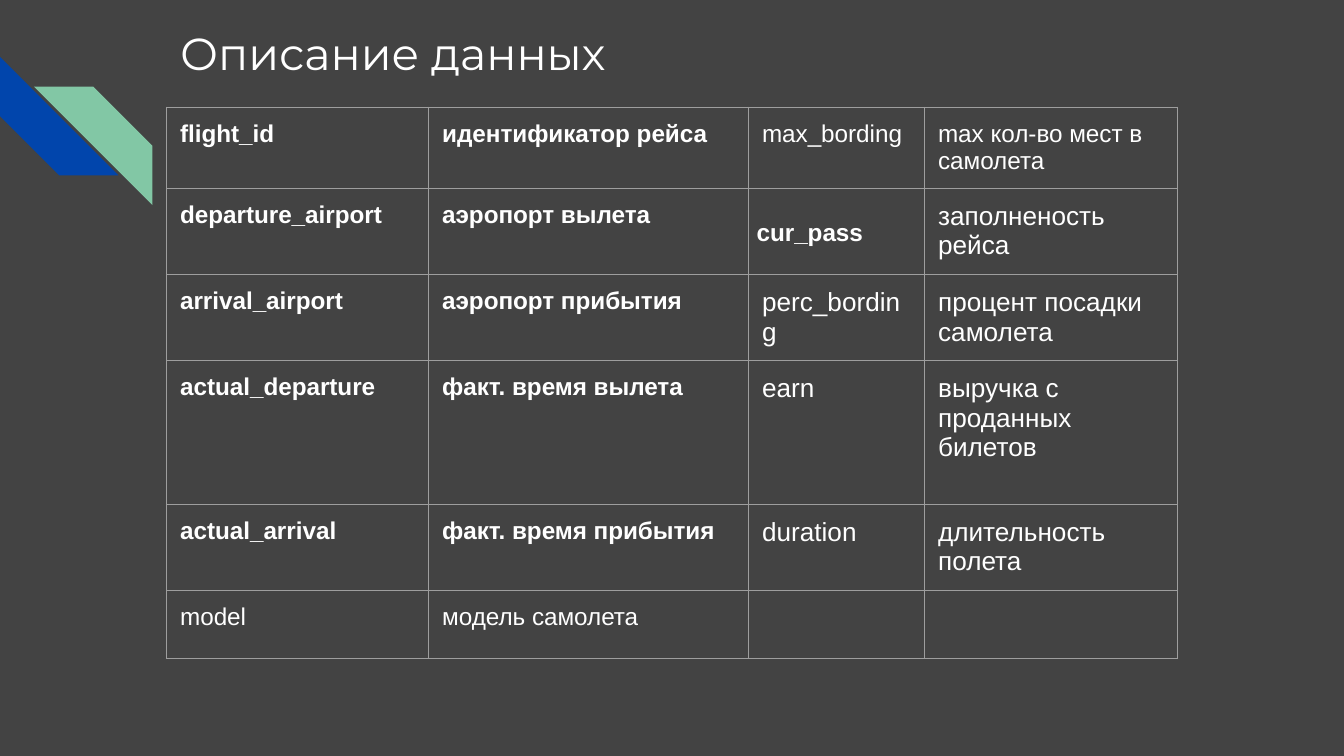
from lxml import etree
from pptx import Presentation
from pptx.dml.color import RGBColor
from pptx.enum.shapes import MSO_SHAPE
from pptx.enum.text import MSO_ANCHOR, PP_ALIGN
from pptx.oxml.ns import qn
from pptx.util import Pt

STRIPE = MSO_SHAPE.DIAGONAL_STRIPE
TOP, MIDDLE = MSO_ANCHOR.TOP, MSO_ANCHOR.MIDDLE
LEFT = PP_ALIGN.LEFT
TITLE_ONLY = 5

COLORS = {
    "background": "434343",
    "text": "FFFFFF",
    "border": "9E9E9E",
    "blue": "0145AC",
    "green": "82C7A5",
}
COLUMN_WIDTHS = [140.4, 171.36, 94.32, 135.36]
ROW_HEIGHTS = [43.4, 46.1, 46.1, 77.1, 46.1, 34.3]
FIELDS = [
    ["flight_id", "идентификатор рейса", "max_bording", "max кол-во мест в самолета"],
    ["departure_airport", "аэропорт вылета", "cur_pass", "заполненость рейса"],
    ["arrival_airport", "аэропорт прибытия", "perc_bording", "процент посадки самолета"],
    ["actual_departure", "факт. время вылета", "earn", "выручка с проданных билетов"],
    ["actual_arrival", "факт. время прибытия", "duration", "длительность полета"],
    ["model", "модель самолета", "", ""],
]


def color(name):
    return RGBColor.from_string(COLORS[name])


def set_margins(holder, inset):
    holder.margin_left = holder.margin_right = Pt(inset)
    holder.margin_top = holder.margin_bottom = Pt(inset)


def write_text(frame, text, size=13, font="Arial", bold=False, line_spacing=1.0, before=0):
    frame.word_wrap = True
    paragraph = frame.paragraphs[0]
    paragraph.alignment = LEFT
    paragraph.line_spacing = line_spacing
    paragraph.space_before = Pt(before)
    run = paragraph.add_run()
    run.text = text
    run.font.size = Pt(size)
    run.font.name = font
    run.font.bold = bold
    run.font.color.rgb = color("text")


def add_stripe(slide, left, top, rotation, fill):
    stripe = slide.shapes.add_shape(STRIPE, Pt(left), Pt(top), Pt(63.5), Pt(63.5))
    stripe.adjustments[0] = 0.5
    stripe.rotation = rotation
    stripe.fill.solid()
    stripe.fill.fore_color.rgb = color(fill)
    stripe.line.fill.background()
    stripe.shadow.inherit = False


def add_title(slide, text):
    title = slide.shapes.title
    title.left, title.top, title.width, title.height = Pt(89.3), Pt(6.5), Pt(554.4), Pt(72)
    title.text_frame.vertical_anchor = TOP
    set_margins(title.text_frame, 7.2)
    write_text(title.text_frame, text, size=24, font="Montserrat")


def outline_cell(cell):
    properties = cell._tc.get_or_add_tcPr()
    for side in ("a:lnL", "a:lnR", "a:lnT", "a:lnB"):
        line = etree.SubElement(properties, qn(side), w=str(Pt(0.75)))
        fill = etree.SubElement(line, qn("a:solidFill"))
        etree.SubElement(fill, qn("a:srgbClr"), val=COLORS["border"])


def fill_cell(cell, text, row, column):
    outline_cell(cell)
    cell.fill.background()
    cell.vertical_anchor = TOP
    set_margins(cell, 7.2)
    if text == "cur_pass":
        cell.vertical_anchor = MIDDLE
        set_margins(cell, 4.3)
        write_text(cell.text_frame, text, bold=True, line_spacing=1.15, before=9)
    elif text:
        is_left_pair = column < 2
        size = 13 if is_left_pair or row == 0 else 14
        write_text(cell.text_frame, text, size=size, bold=is_left_pair and text not in FIELDS[-1])


def add_field_table(slide):
    frame = slide.shapes.add_table(
        len(FIELDS), len(COLUMN_WIDTHS), Pt(89.3), Pt(57.5),
        Pt(sum(COLUMN_WIDTHS)), Pt(sum(ROW_HEIGHTS)),
    )
    table = frame.table
    table.first_row = table.horz_banding = False
    for column, width in zip(table.columns, COLUMN_WIDTHS):
        column.width = Pt(width)
    for row, height in zip(table.rows, ROW_HEIGHTS):
        row.height = Pt(height)
    for row, texts in enumerate(FIELDS):
        for column, text in enumerate(texts):
            fill_cell(table.cell(row, column), text, row, column)


def main():
    deck = Presentation()
    deck.slide_width, deck.slide_height = Pt(720), Pt(405)
    slide = deck.slides.add_slide(deck.slide_layouts[TITLE_ONLY])
    slide.background.fill.solid()
    slide.background.fill.fore_color.rgb = color("background")
    add_stripe(slide, 0, 30.4, 270, "blue")
    add_stripe(slide, 18.2, 46.4, 90, "green")
    add_title(slide, "Описание данных")
    add_field_table(slide)
    deck.save("out.pptx")


if __name__ == "__main__":
    main()
